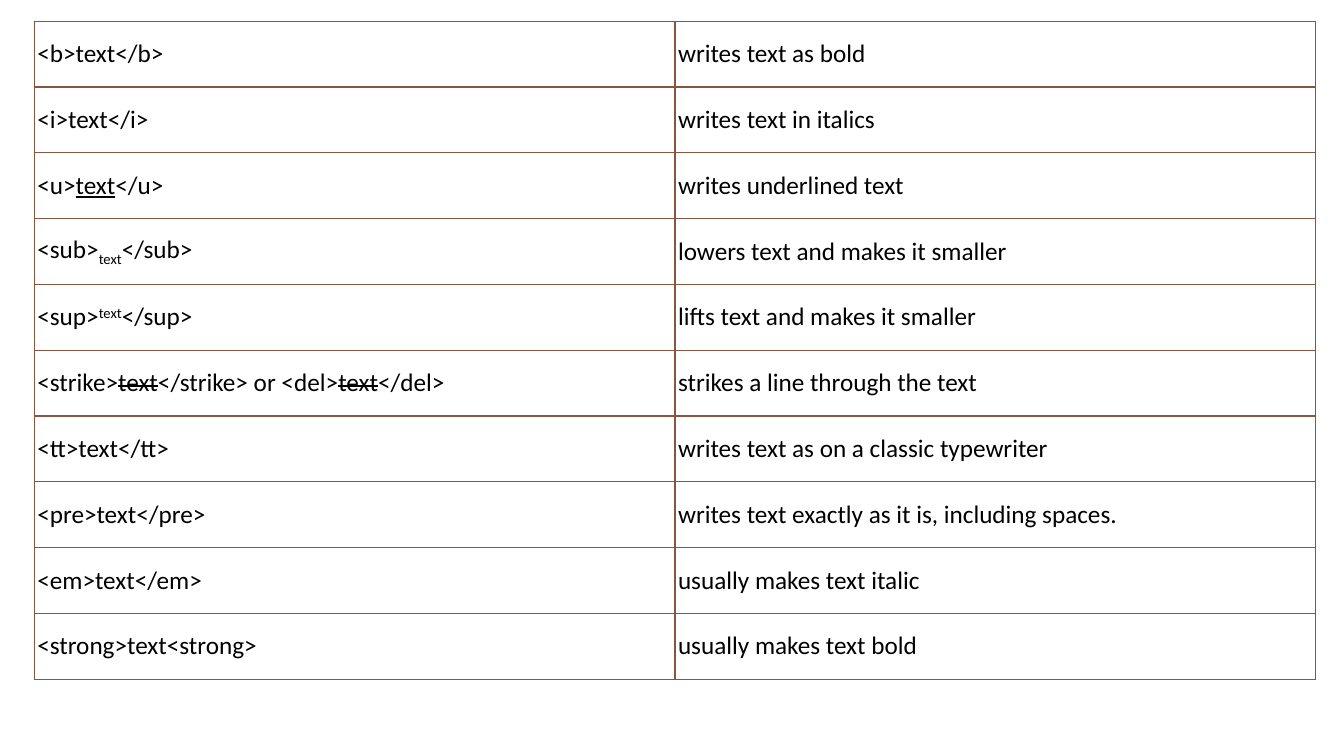
from lxml import etree
from pptx import Presentation
from pptx.dml.color import RGBColor
from pptx.enum.text import MSO_ANCHOR
from pptx.oxml.ns import qn
from pptx.util import Inches, Pt

MIDDLE = MSO_ANCHOR.MIDDLE
FONT, SIZE, INK = "Calibri", 18, "000000"
BORDER, PAD = "865640", 0.03

UNDER = {"u": "sng"}
LOW = {"baseline": "-25000"}
HIGH = {"baseline": "30000"}
STRIKE = {"strike": "sngStrike"}

# Each row: runs of (text, run attributes), then the meaning
TAGS = [
    ([("<b>text</b>", {})], "writes text as bold"),
    ([("<i>text</i>", {})], "writes text in italics"),
    ([("<u>", {}), ("text", UNDER), ("</u>", {})], "writes underlined text"),
    ([("<sub>", {}), ("text", LOW), ("</sub>", {})],
     "lowers text and makes it smaller"),
    ([("<sup>", {}), ("text", HIGH), ("</sup>", {})],
     "lifts text and makes it smaller"),
    ([("<strike>", {}), ("text", STRIKE), ("</strike> or <del>", {}),
      ("text", STRIKE), ("</del>", {})], "strikes a line through the text"),
    ([("<tt>text</tt>", {})], "writes text as on a classic typewriter"),
    ([("<pre>text</pre>", {})],
     "writes text exactly as it is, including spaces."),
    ([("<em>text</em>", {})], "usually makes text italic"),
    ([("<strong>text<strong>", {})], "usually makes text bold"),
]


def color(code):
    return RGBColor.from_string(code)


def add_borders(cell):
    props = cell._tc.get_or_add_tcPr()
    for side in ("lnL", "lnR", "lnT", "lnB"):
        line = etree.SubElement(props, qn(f"a:{side}"), w=str(Pt(1)))
        fill = etree.SubElement(line, qn("a:solidFill"))
        etree.SubElement(fill, qn("a:srgbClr"), val=BORDER)


def fill_cell(cell, runs):
    add_borders(cell)
    cell.fill.background()
    cell.vertical_anchor = MIDDLE
    cell.margin_left = cell.margin_right = Inches(PAD)
    cell.margin_top = cell.margin_bottom = Inches(PAD)
    para = cell.text_frame.paragraphs[0]
    para.font.name = FONT
    para.font.size = Pt(SIZE)
    para.font.color.rgb = color(INK)
    for text, attrs in runs:
        run = para.add_run()
        run.text = text
        for key, value in attrs.items():
            run.font._element.set(key, value)


def add_tags(slide, left, top, width, height):
    """Place the table of tags and their meanings in the given box."""
    frame = slide.shapes.add_table(
        len(TAGS), 2, Inches(left), Inches(top), Inches(width), Inches(height))
    table = frame.table
    table.first_row = table.horz_banding = False
    for row, (runs, meaning) in zip(table.rows, TAGS):
        fill_cell(row.cells[0], runs)
        fill_cell(row.cells[1], [(meaning, {})])


def main():
    deck = Presentation()
    deck.slide_width, deck.slide_height = Inches(13.33), Inches(7.5)
    slide = deck.slides.add_slide(deck.slide_layouts[6])
    add_tags(slide, 0.34, 0.21, 12.71, 6.53)
    deck.save("out.pptx")


if __name__ == "__main__":
    main()
